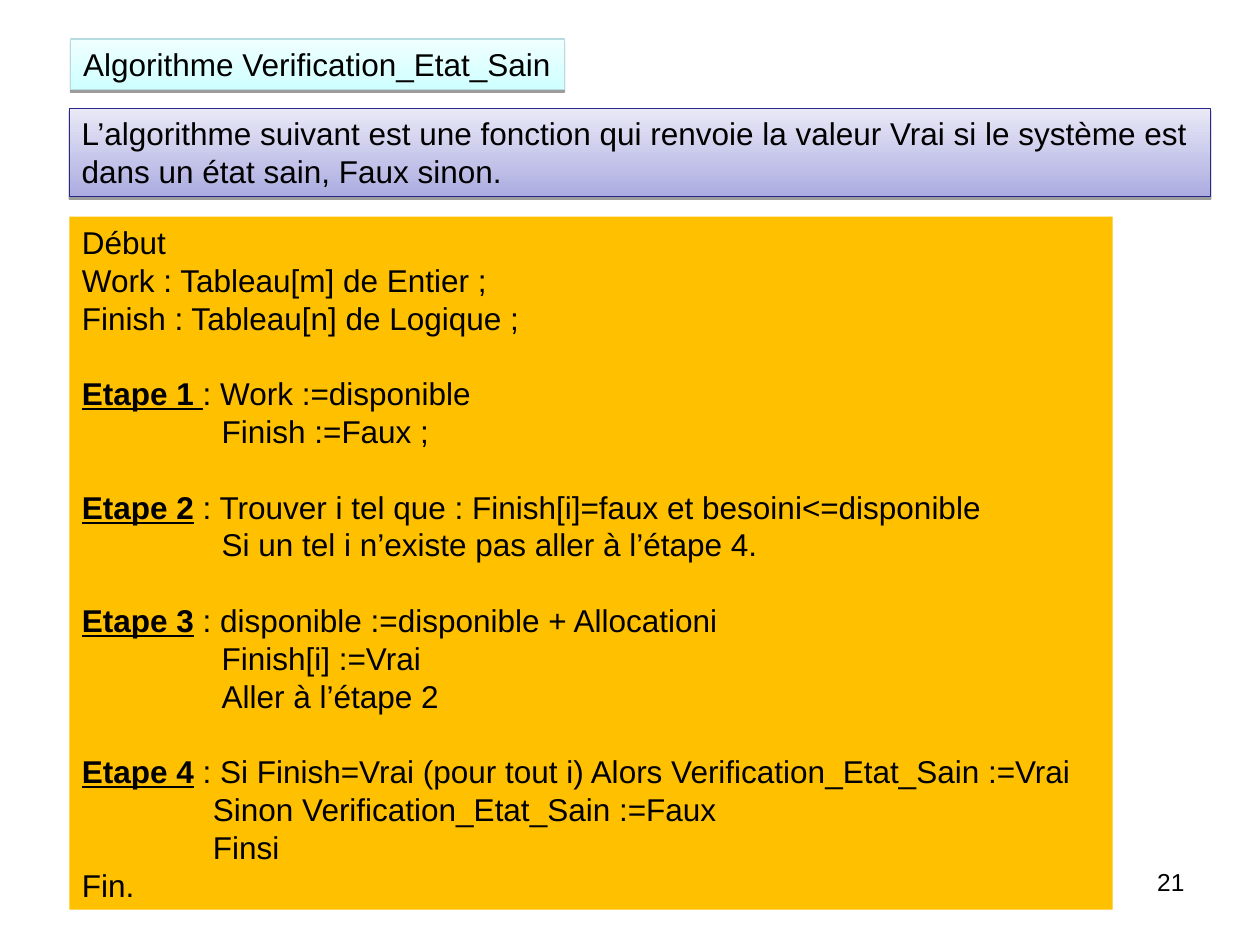
from lxml.etree import SubElement
from pptx import Presentation
from pptx.dml.color import RGBColor
from pptx.enum.shapes import MSO_SHAPE
from pptx.enum.text import MSO_ANCHOR, MSO_AUTO_SIZE, PP_ALIGN
from pptx.oxml.ns import qn
from pptx.util import Inches, Pt

BLACK = RGBColor(0x00, 0x00, 0x00)
AMBER = RGBColor(0xFF, 0xC0, 0x00)
CYAN = RGBColor(0xCF, 0xFF, 0xFF)
PALE_CYAN = RGBColor(0xF0, 0xFF, 0xFF)
CYAN_EDGE = RGBColor(0xB6, 0xDC, 0xDF)
LAVENDER = RGBColor(0xAC, 0xAC, 0xE1)
PALE_LAVENDER = RGBColor(0xE9, 0xE9, 0xF7)
NAVY = RGBColor(0x29, 0x29, 0x89)

INTRO = ("L’algorithme suivant est une fonction qui renvoie la valeur Vrai "
         "si le système est dans un état sain, Faux sinon.")
DECLARATIONS = ["Début", "Work : Tableau[m] de Entier ;",
                "Finish : Tableau[n] de Logique ;"]
# Underlined label, rest of its line, indent of the following lines, those lines
STEPS = [
    ("Etape 1 ", ": Work :=disponible", 1.11, ["Finish :=Faux ;"]),
    ("Etape 2", " : Trouver i tel que : Finish[i]=faux et besoini<=disponible",
     1.11, ["Si un tel i n’existe pas aller à l’étape 4."]),
    ("Etape 3", " : disponible :=disponible + Allocationi",
     1.11, ["Finish[i] :=Vrai", "Aller à l’étape 2"]),
    ("Etape 4", " : Si Finish=Vrai (pour tout i) Alors Verification_Etat_Sain :=Vrai",
     1.04, ["Sinon Verification_Etat_Sain :=Faux", "Finsi"]),
]


class SlideBuilder:
    def __init__(self, slide, font="Arial", size=18, line_pitch=21.6):
        self.slide = slide
        self.font = font
        self.size = size
        self.line_pitch = line_pitch

    def place(self, sp, left, top, width, height):
        sp.left, sp.top = Inches(left), Inches(top)
        sp.width, sp.height = Inches(width), Inches(height)
        tf = sp.text_frame
        tf.auto_size = MSO_AUTO_SIZE.NONE
        tf.word_wrap = True
        tf.vertical_anchor = MSO_ANCHOR.TOP

    def style(self, p, size=None, align=PP_ALIGN.LEFT, indent=0, before=0):
        p.alignment = align
        p.space_before = Pt(before)
        pPr = p._p.get_or_add_pPr()
        pPr.set("marL", str(Inches(indent)))
        pPr.set("indent", "0")
        for r in p.runs:
            r.font.name = self.font
            r.font.size = Pt(size or self.size)
            r.font.color.rgb = BLACK

    def gradient(self, sp, bottom, top, edge):
        """Fill upwards from bottom to top, with a thin edge and a hard shadow."""
        sp.fill.gradient()
        sp.fill.gradient_angle = 90
        for stop, color in zip(sp.fill.gradient_stops, (bottom, top)):
            stop.color.rgb = color
        sp.line.color.rgb = edge
        sp.line.width = Pt(0.75)
        sp.shadow.inherit = False
        effects = sp._element.spPr.find(qn("a:effectLst"))
        shadow = SubElement(effects, qn("a:outerShdw"), blurRad="0",
                            dist=str(Pt(1.6)), dir="5400000", rotWithShape="0")
        color = SubElement(shadow, qn("a:srgbClr"), val=str(BLACK))
        SubElement(color, qn("a:alpha"), val="38000")

    def title(self, text, *box):
        sp = self.slide.shapes.title
        self.place(sp, *box)
        self.gradient(sp, CYAN, PALE_CYAN, CYAN_EDGE)
        sp.text_frame.word_wrap = False
        sp.text_frame.text = text
        self.style(sp.text_frame.paragraphs[0])

    def banner(self, text, *box):
        sp = self.slide.shapes.add_shape(MSO_SHAPE.RECTANGLE, 0, 0, 0, 0)
        self.place(sp, *box)
        self.gradient(sp, LAVENDER, PALE_LAVENDER, NAVY)
        sp.text_frame.text = text
        self.style(sp.text_frame.paragraphs[0])

    def algorithm(self, *box):
        sp = self.slide.placeholders[1]
        self.place(sp, *box)
        sp.fill.solid()
        sp.fill.fore_color.rgb = AMBER
        tf = sp.text_frame
        tf.text = DECLARATIONS[0]
        self.code_style(tf.paragraphs[0])
        for line in DECLARATIONS[1:]:
            self.code_line(tf, line)
        for label, rest, indent, lines in STEPS:
            p = tf.add_paragraph()
            p.text = label
            p.runs[0].font.bold = p.runs[0].font.underline = True
            p.add_run().text = rest
            self.code_style(p, before=self.line_pitch)
            for line in lines:
                self.code_line(tf, line, indent)
        self.code_line(tf, "Fin.")

    def code_line(self, tf, text, indent=0):
        p = tf.add_paragraph()
        p.text = text
        self.code_style(p, indent=indent)

    def code_style(self, p, **spacing):
        self.style(p, **spacing)
        SubElement(p._p.get_or_add_pPr(), qn("a:buNone"))

    def page_number(self, number, *box):
        sp = self.slide.shapes.add_textbox(0, 0, 0, 0)
        self.place(sp, *box)
        sp.text_frame.text = str(number)
        self.style(sp.text_frame.paragraphs[0], size=14, align=PP_ALIGN.RIGHT)


def main():
    prs = Presentation()
    prs.slide_width, prs.slide_height = Inches(10), Inches(7.5)
    s = SlideBuilder(prs.slides.add_slide(prs.slide_layouts[1]))
    s.title("Algorithme Verification_Etat_Sain", 0.56, 0.31, 3.92, 0.4)
    s.banner(INTRO, 0.55, 0.86, 9.06, 0.7)
    s.algorithm(0.55, 1.72, 8.28, 5.5)
    s.page_number(21, 7.17, 6.83, 2.33, 0.52)
    prs.save("out.pptx")


if __name__ == "__main__":
    main()
